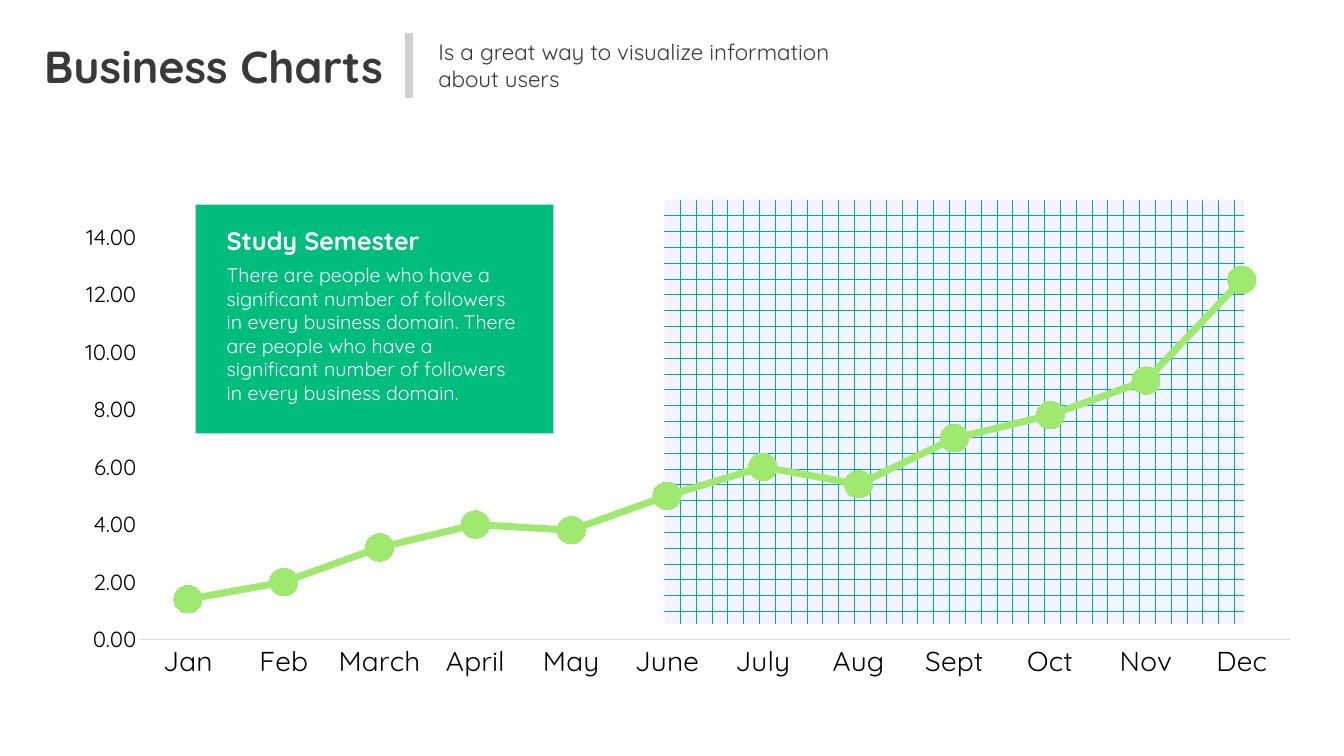
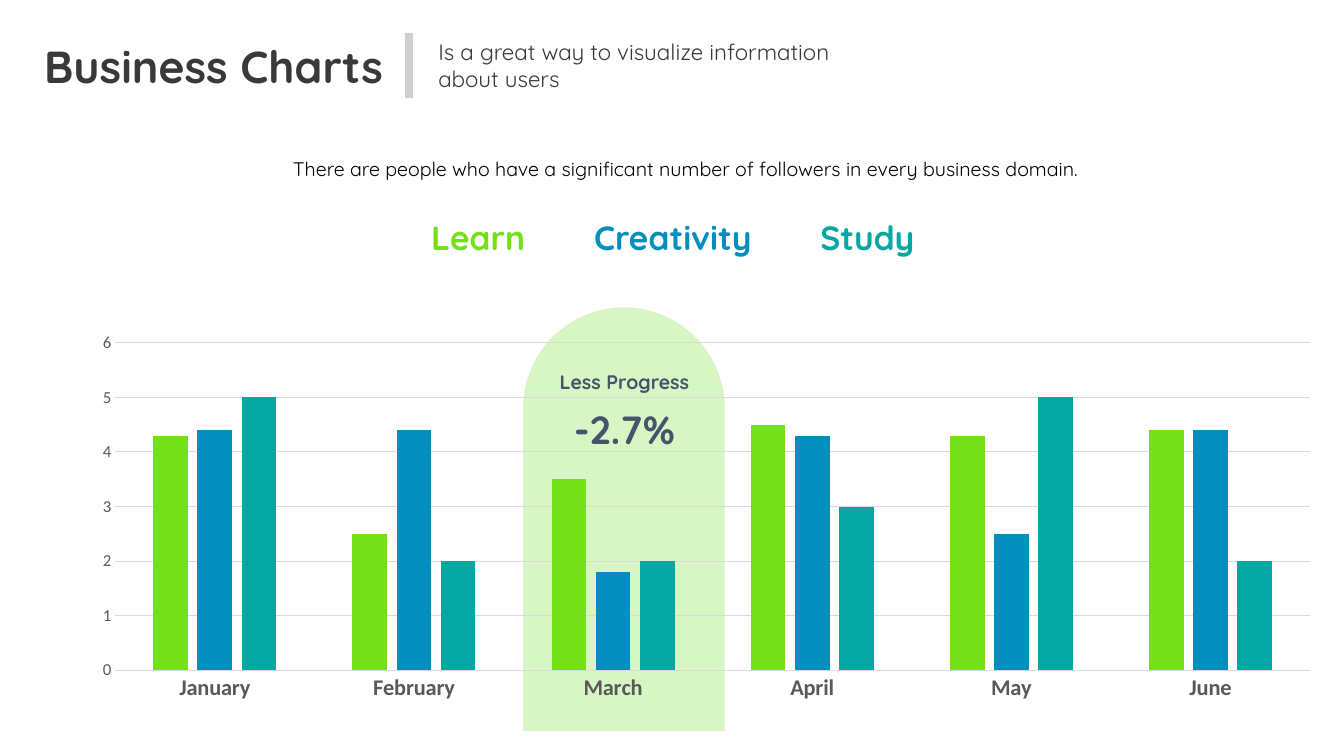
import dataclasses
import typing

import pptx
import pptx.chart.chart
import pptx.chart.data
import pptx.dml.color
import pptx.enum.chart
import pptx.enum.dml
import pptx.enum.shapes
import pptx.enum.text
import pptx.oxml
import pptx.oxml.ns
import pptx.oxml.xmlchemy
import pptx.shapes.autoshape
import pptx.shapes.base
import pptx.slide
import pptx.util

WIDTH = pptx.util.Inches(13.333)
HEIGHT = pptx.util.Inches(7.5)
COLS, ROWS = 160, 90
FONT = "Quicksand"
PLAIN = "Calibri"
HUES = {
    "ink": "3B3838", "rule": "D0CECE", "grid": "D9D9D9", "gray": "595959",
    "black": "000000", "white": "FFFFFF", "slate": "44546A",
    "lime": "73E019", "blue": "048EBD", "teal": "04A7A2",
    "green": "00BD7D", "pale": "F3F4FF", "arch": "D7F6C4",
    "line": "A0E970", "dot": "BDF09A",
}
SHAPE = pptx.enum.shapes.MSO_SHAPE
TYPE = pptx.enum.chart.XL_CHART_TYPE
Frame = tuple[float, float, float, float]


@dataclasses.dataclass(frozen=True)
class Label:
    text: str
    frame: Frame
    size: int
    hue: str
    bold: bool = False
    center: bool = False
    middle: bool = False


@dataclasses.dataclass(frozen=True)
class Axis:
    size: int
    hue: str
    bold: bool = False


@dataclasses.dataclass(frozen=True)
class Graph:
    kind: typing.Any
    frame: Frame
    font: str
    cats: list[str]
    rows: list[list[float]]
    plot: Frame
    cat: Axis
    val: Axis
    top: float
    step: float
    form: str


TITLE = Label("Business Charts", (2.16, 3.96, 46.56, 7.68), 32, "ink", True, True)
LEAD = Label("Is a great way to visualize information about users",
             (51, 3.96, 54.12, 7.68), 16, "ink")
CLAIM = "There are people who have a significant number of followers in every business domain."
NOTES = [
    Label(f"{CLAIM} {CLAIM}", (25.8, 30.72, 37.68, 18.12), 14, "white"),
    Label("Study Semester", (25.8, 26.28, 37.68, 4.8), 18, "white", True),
]
KEYS = [("Learn", "lime"), ("Creativity", "blue"), ("Study", "teal")]
FACTS = [
    Label(CLAIM, (30.12, 18.12, 103.08, 4.08), 14, "black", center=True),
    Label("Less Progress", (65.04, 43.44, 18.6, 4.08), 14, "slate", True, True),
    Label("-2.7%", (65.04, 47.52, 18.6, 6.96), 28, "slate", True, True, True),
] + [
    Label(text, (45.96 + 23.16 * i, 25.08, 21.96, 6.24), 24, hue, True, True, True)
    for i, (text, hue) in enumerate(KEYS)
]
TREND = Graph(
    TYPE.LINE_MARKERS, (10.08, 26.28, 143.52, 54.48), FONT,
    ["Jan", "Feb", "March", "April", "May", "June",
     "July", "Aug", "Sept", "Oct", "Nov", "Dec"],
    [[1.4, 2, 3.2, 4, 3.8, 5, 6, 5.4, 7, 7.8, 9, 12.5]],
    (4.6, 3.6, 95.4, 90.2), Axis(20, "black"), Axis(16, "black"), 14, 2, "#,##0.00",
)
BARS = Graph(
    TYPE.COLUMN_CLUSTERED, (6.36, 36.6, 153.6, 48), PLAIN,
    ["January", "February", "March", "April", "May", "June"],
    [[4.3, 2.5, 3.5, 4.5, 4.3, 4.4],
     [4.4, 4.4, 1.8, 4.3, 2.5, 4.4],
     [5, 2, 2, 3, 5, 2]],
    (4.8, 8.8, 92.6, 81.2), Axis(16, "gray", True), Axis(12, "gray"), 6, 1, "General",
)


def across(cols: float) -> int:
    return round(WIDTH * cols / COLS)


def down(rows: float) -> int:
    return round(HEIGHT * rows / ROWS)


def place(frame: Frame) -> tuple[int, int, int, int]:
    x, y, w, h = frame
    return across(x), down(y), across(w), down(h)


def tint(name: str) -> pptx.dml.color.RGBColor:
    return pptx.dml.color.RGBColor.from_string(HUES[name])


def style(font: typing.Any, name: str, size: int, hue: str, bold: bool) -> None:
    font.name = name
    font.size = pptx.util.Pt(size)
    font.bold = bold
    font.color.rgb = tint(hue)


def write(shape: pptx.shapes.base.BaseShape, label: Label) -> None:
    shape.left, shape.top, shape.width, shape.height = place(label.frame)
    body = shape.text_frame
    body.text = label.text
    body.word_wrap = True
    body.auto_size = pptx.enum.text.MSO_AUTO_SIZE.SHAPE_TO_FIT_TEXT
    anchor = pptx.enum.text.MSO_ANCHOR
    body.vertical_anchor = anchor.MIDDLE if label.middle else anchor.TOP
    if label.middle:
        pad = across(0.72)
        body.margin_left = body.margin_right = pad
        body.margin_top = body.margin_bottom = pad
    line = body.paragraphs[0]
    align = pptx.enum.text.PP_ALIGN
    line.alignment = align.CENTER if label.center else align.LEFT
    for run in line.runs:
        style(run.font, FONT, label.size, label.hue, label.bold)


def add_text(slide: pptx.slide.Slide, label: Label) -> None:
    write(slide.shapes.add_textbox(*place(label.frame)), label)


def add_block(slide: pptx.slide.Slide, kind: typing.Any, frame: Frame,
              hue: str) -> pptx.shapes.autoshape.Shape:
    block = slide.shapes.add_shape(kind, *place(frame))
    block.shadow.inherit = False
    block.fill.solid()
    block.fill.fore_color.rgb = tint(hue)
    block.line.fill.background()
    return block


def start(deck: typing.Any) -> pptx.slide.Slide:
    slide = deck.slides.add_slide(deck.slide_layouts[5])
    write(slide.shapes.title, TITLE)
    add_text(slide, LEAD)
    x, y, w, h = TITLE.frame
    rule = slide.shapes.add_connector(
        pptx.enum.shapes.MSO_CONNECTOR.STRAIGHT,
        across(x + w), down(y), across(x + w), down(y + h))
    rule.line.color.rgb = tint("rule")
    rule.line.width = pptx.util.Pt(5.5)
    props = rule.element.spPr
    props.append(props.makeelement(pptx.oxml.ns.qn("a:effectLst"), {}))
    return slide


def clear_fill() -> pptx.oxml.xmlchemy.BaseOxmlElement:
    return pptx.oxml.parse_xml(
        f'<c:spPr {pptx.oxml.ns.nsdecls("c", "a")}><a:noFill/>'
        '<a:ln><a:noFill/></a:ln></c:spPr>')


def set_plot(chart: pptx.chart.chart.Chart, share: Frame) -> None:
    root = chart.element.xpath("c:chart")[0]
    area = root.xpath("c:plotArea")[0]
    for old in area.xpath("c:layout"):
        area.remove(old)
    parts = "".join(f'<c:{tag} val="{value / 100:.3f}"/>'
                    for tag, value in zip("xywh", share))
    area.insert(0, pptx.oxml.parse_xml(
        f'<c:layout {pptx.oxml.ns.nsdecls("c")}><c:manualLayout>'
        '<c:layoutTarget val="inner"/><c:xMode val="edge"/><c:yMode val="edge"/>'
        f'{parts}</c:manualLayout></c:layout>'))
    area.append(clear_fill())
    root.addnext(clear_fill())


def set_axis(axis: typing.Any, look: Axis, font: str) -> None:
    none = pptx.enum.chart.XL_TICK_MARK.NONE
    axis.major_tick_mark = axis.minor_tick_mark = none
    axis.has_major_gridlines = False
    style(axis.tick_labels.font, font, look.size, look.hue, look.bold)


def set_line(line: typing.Any, hue: str, width: float) -> None:
    line.color.rgb = tint(hue)
    line.width = pptx.util.Pt(width)


def add_graph(slide: pptx.slide.Slide, graph: Graph) -> pptx.chart.chart.Chart:
    data = pptx.chart.data.CategoryChartData()
    data.categories = graph.cats
    for i, row in enumerate(graph.rows, 1):
        data.add_series(f"Series {i}", row)
    chart = slide.shapes.add_chart(graph.kind, *place(graph.frame), data).chart
    chart.has_title = chart.has_legend = False
    style(chart.font, graph.font, graph.cat.size, "black", False)
    chart.plots[0].vary_by_categories = False
    set_axis(chart.category_axis, graph.cat, graph.font)
    set_line(chart.category_axis.format.line, "grid", 0.75)
    axis = chart.value_axis
    set_axis(axis, graph.val, graph.font)
    axis.format.line.fill.background()
    axis.minimum_scale, axis.maximum_scale = 0, graph.top
    axis.major_unit = graph.step
    axis.tick_labels.number_format = graph.form
    axis.tick_labels.number_format_is_linked = False
    set_plot(chart, graph.plot)
    return chart


def draw_trend(deck: typing.Any) -> None:
    slide = start(deck)
    mesh = add_block(slide, SHAPE.RECTANGLE, (79.08, 23.76, 69, 50.52), "pale")
    mesh.fill.patterned()
    mesh.fill.pattern = pptx.enum.dml.MSO_PATTERN.DOTTED_GRID
    mesh.fill.fore_color.rgb = tint("teal")
    mesh.fill.back_color.rgb = tint("pale")
    add_block(slide, SHAPE.RECTANGLE, (23.28, 24.36, 42.6, 27.24), "green")
    row = add_graph(slide, TREND).plots[0].series[0]
    row.smooth = False
    set_line(row.format.line, "line", 5)
    mark = row.marker
    mark.style = pptx.enum.chart.XL_MARKER_STYLE.CIRCLE
    mark.size = 20
    mark.format.fill.solid()
    mark.format.fill.fore_color.rgb = tint("dot")
    mark.format.line.fill.background()
    for label in NOTES:
        add_text(slide, label)


def draw_bars(deck: typing.Any) -> None:
    slide = start(deck)
    arch = add_block(slide, SHAPE.ROUND_2_SAME_RECTANGLE, (62.28, 36.6, 24, 50.4), "arch")
    arch.adjustments[0] = 0.5
    arch.adjustments[1] = 0
    chart = add_graph(slide, BARS)
    axis = chart.value_axis
    axis.has_major_gridlines = True
    set_line(axis.major_gridlines.format.line, "grid", 0.75)
    plot = chart.plots[0]
    plot.gap_width, plot.overlap = 219, -27
    for row, (_, hue) in zip(plot.series, KEYS):
        row.format.fill.solid()
        row.format.fill.fore_color.rgb = tint(hue)
    for label in FACTS:
        add_text(slide, label)


def main() -> None:
    deck = pptx.Presentation()
    deck.slide_width, deck.slide_height = WIDTH, HEIGHT
    draw_trend(deck)
    draw_bars(deck)
    deck.save("out.pptx")


if __name__ == "__main__":
    main()
